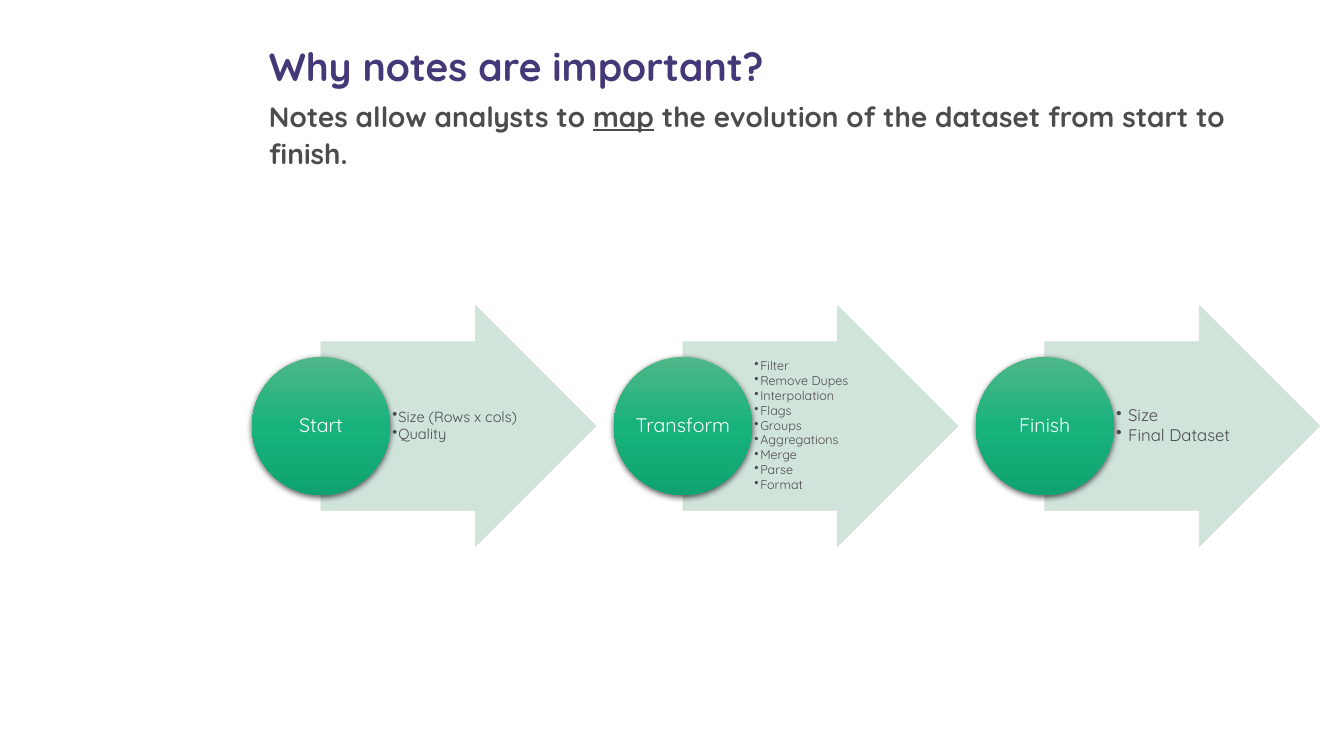
from copy import deepcopy
from pptx import Presentation
from pptx.dml.color import RGBColor
from pptx.enum.shapes import MSO_SHAPE
from pptx.enum.text import MSO_ANCHOR, PP_ALIGN
from pptx.oxml import parse_xml
from pptx.oxml.ns import nsdecls, qn
from pptx.util import Cm, Pt

HUES = {"title": "453878", "text": "4C4C4C", "arrow": "CDE2D7", "white": "FFFFFF",
        "top": "4FB789", "mid": "18B27B", "low": "0FA46F", "shade": "000000"}
FONT = "Quicksand"
STEPS = [
    ("Start", ["Size (Rows x cols)", "Quality"], 10.5, 0.15),
    ("Transform", ["Filter", "Remove Dupes", "Interpolation", "Flags", "Groups",
                   "Aggregations", "Merge", "Parse", "Format"], 9, 0.15),
    ("Finish", ["Size", "Final Dataset"], 12, 0.3),
]


def hue(name):
    return RGBColor.from_string(HUES[name])


def add_text(slide, lines, box, size, color="text", bold=False, align=PP_ALIGN.LEFT,
             pitch=1.0, after=0, inset=0, hang=0):
    frame = slide.shapes.add_textbox(*map(Cm, box)).text_frame
    frame.word_wrap = True
    frame.vertical_anchor = MSO_ANCHOR.MIDDLE
    frame.margin_left = frame.margin_right = Cm(inset)
    frame.margin_top = frame.margin_bottom = Cm(inset / 2)
    for i, line in enumerate(lines):
        para = frame.add_paragraph() if i else frame.paragraphs[0]
        para.alignment, para.line_spacing = align, pitch
        para.space_after = Pt(after)
        if hang:
            props = para._p.get_or_add_pPr()
            props.set("marL", str(Cm(hang)))
            props.set("indent", str(-Cm(hang)))
            props.append(parse_xml(f'<a:buChar {nsdecls("a")} char="•"/>'))
        for j, part in enumerate(line.split("_")):
            run = para.add_run()
            run.text = part
            font = run.font
            font.name, font.size, font.bold = FONT, Pt(size), bold
            font.color.rgb = hue(color)
            if j % 2:
                font.underline = True


def add_form(slide, kind, box):
    form = slide.shapes.add_shape(kind, *map(Cm, box))
    form.shadow.inherit = False
    return form


def add_arrow(slide, box):
    arrow = add_form(slide, MSO_SHAPE.RIGHT_ARROW, box)
    arrow.adjustments[0], arrow.adjustments[1] = 0.7, 0.5
    arrow.fill.solid()
    arrow.fill.fore_color.rgb = hue("arrow")
    arrow.line.color.rgb = hue("arrow")
    arrow.line.width = Pt(0.5)
    for tint in arrow._element.spPr.iter(qn("a:srgbClr")):
        tint.append(parse_xml(f'<a:alpha {nsdecls("a")} val="90000"/>'))


def add_disc(slide, box):
    disc = add_form(slide, MSO_SHAPE.OVAL, box)
    disc.line.fill.background()
    disc.fill.gradient()
    disc.fill.gradient_angle = 270
    props = disc._element.spPr
    stops = props.find(".//" + qn("a:gsLst"))
    stops.append(deepcopy(stops[0]))
    for i, (stop, name) in enumerate(zip(disc.fill.gradient_stops, ("top", "mid", "low"))):
        stop.position = i / 2
        stop.color.rgb = hue(name)
    props.find(qn("a:effectLst")).append(parse_xml(
        f'<a:outerShdw {nsdecls("a")} blurRad="{Pt(4.5)}" dist="{Pt(1.5)}" dir="5400000" '
        f'algn="ctr" rotWithShape="0"><a:srgbClr val="{HUES["shade"]}">'
        '<a:alpha val="63000"/></a:srgbClr></a:outerShdw>'))


def add_head(slide, left, top, width):
    add_text(slide, ["Why notes are important?"], (left, top, width, 1.19), 28,
             color="title", bold=True)
    add_text(slide, ["Notes allow analysts to _map_ the evolution of the dataset "
                     "from start to finish."],
             (left, top + 1.88, width, 0.79), 20, bold=True, pitch=1.1)


def add_step(slide, step, left, top, width, height):
    name, items, size, hang = step
    disc, pad, tall = 3.48, 0.51, 4.24
    mid = top + height / 2
    add_arrow(slide, (left + disc / 2, top, width - disc / 2, height))
    add_text(slide, items, (left + disc, mid - tall / 2, 3.38, tall), size,
             pitch=0.9, after=size * 0.1, inset=0.06, hang=hang)
    add_disc(slide, (left, mid - disc / 2, disc, disc))
    side = disc - 2 * pad
    add_text(slide, [name], (left + pad, mid - side / 2, side, side), 14,
             color="white", align=PP_ALIGN.CENTER, pitch=0.9, inset=0.02)


def add_flow(slide, left, top, gap):
    for i, step in enumerate(STEPS):
        add_step(slide, step, left + i * gap, top, 8.67, 6.07)


def main():
    deck = Presentation()
    deck.slide_width, deck.slide_height = Cm(33.87), Cm(19.05)
    slide = deck.slides.add_slide(deck.slide_layouts[6])
    add_head(slide, 6.78, 1.07, 25.65)
    add_flow(slide, 6.35, 7.7, 9.12)
    deck.save("out.pptx")


if __name__ == "__main__":
    main()
